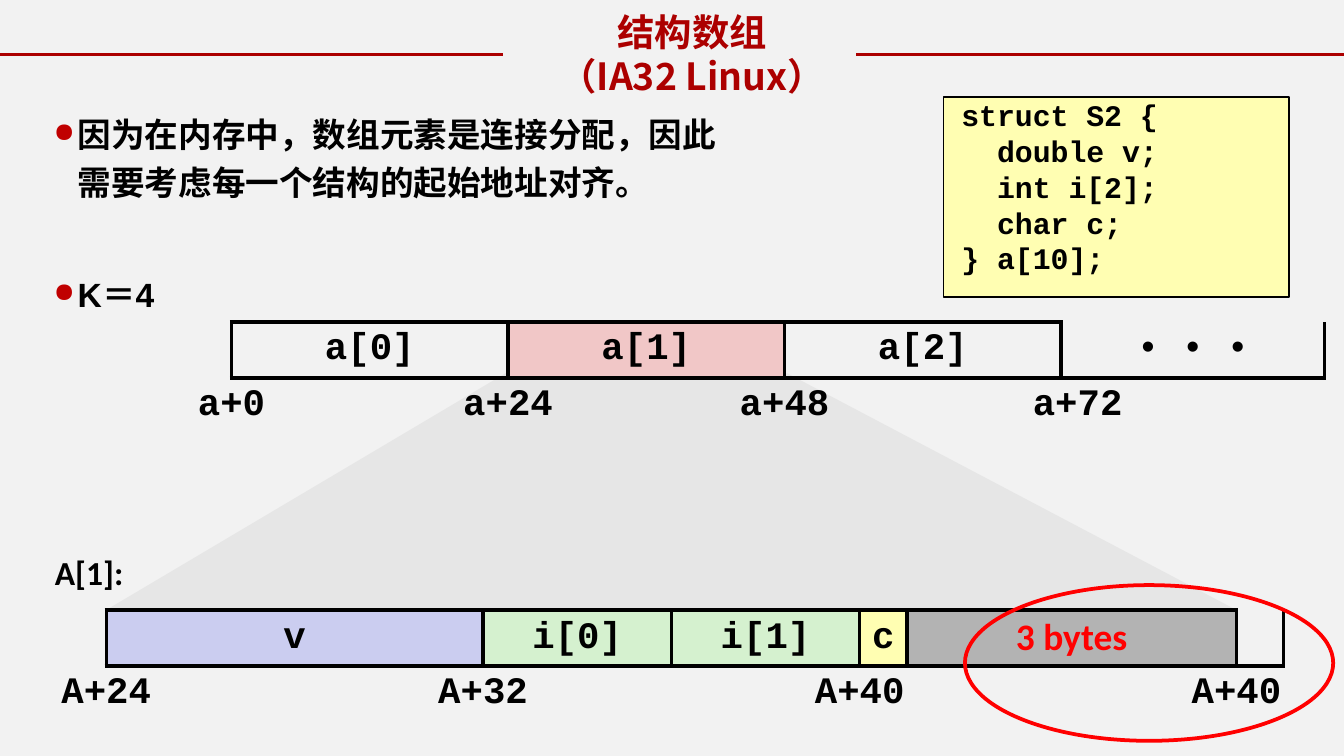
from dataclasses import dataclass
from typing import Optional

from lxml import etree
from pptx import Presentation
from pptx.dml.color import RGBColor
from pptx.enum.shapes import MSO_CONNECTOR, MSO_SHAPE
from pptx.enum.text import MSO_ANCHOR, PP_ALIGN
from pptx.oxml.ns import qn
from pptx.util import Inches, Pt

LINE = MSO_CONNECTOR.STRAIGHT
RECT, OVAL = MSO_SHAPE.RECTANGLE, MSO_SHAPE.OVAL
TOP, MIDDLE = MSO_ANCHOR.TOP, MSO_ANCHOR.MIDDLE
LEFT, CENTER = PP_ALIGN.LEFT, PP_ALIGN.CENTER

BLACK = RGBColor(0x00, 0x00, 0x00)
RED = RGBColor(0xFF, 0x00, 0x00)
CRIMSON = RGBColor(0xAC, 0x00, 0x00)
PAPER = RGBColor(0xF2, 0xF2, 0xF2)
SHADE = RGBColor(0xE6, 0xE6, 0xE6)
YELLOW = RGBColor(0xFF, 0xFE, 0xB2)
PINK = RGBColor(0xF1, 0xC7, 0xC7)
BLUE = RGBColor(0xCB, 0xCD, 0xF0)
GREEN = RGBColor(0xD5, 0xF1, 0xCF)
GRAY = RGBColor(0xB3, 0xB3, 0xB3)

HAN, MONO, SANS, PLAIN = "Noto Sans CJK SC", "Courier New", "Calibri", "Arial"
PLAIN_GRID = "{2D5ABB26-0587-4C30-8999-92F81FD0307C}"
WIDE, HIGH = Inches(10), Inches(5.625)
ROW = 7.4


@dataclass(frozen=True)
class Style:
    font: str
    size: float
    color: RGBColor = BLACK
    bold: bool = True


CODE = Style(MONO, 20)
DOTS = Style(MONO, 20, bold=False)
NOTE = Style(SANS, 20, RED)


@dataclass(frozen=True)
class Field:
    start: int
    count: int
    text: str
    fill: Optional[RGBColor] = None
    style: Style = CODE
    framed: bool = True


@dataclass(frozen=True)
class Label:
    start: int
    text: str


@dataclass(frozen=True)
class Strip:
    """A row of fields over a row of labels; cols are relative widths."""
    left: float
    top: float
    width: float
    cols: list[float]
    fields: list[Field]
    labels: list[Label]
    base: range


def across(share: float) -> int:
    return round(WIDE * share / 100)


def down(share: float) -> int:
    return round(HIGH * share / 100)


def area(x: float, y: float, w: float, h: float) -> tuple[int, int, int, int]:
    return across(x), down(y), across(w), down(h)


def write(par, text: str, style: Style, align=LEFT) -> None:
    par.alignment = align
    run = par.add_run()
    run.text = text
    font = run.font
    font.name, font.size, font.bold = style.font, Pt(style.size), style.bold
    font.color.rgb = style.color
    east = etree.SubElement(run._r.get_or_add_rPr(), qn("a:ea"))
    east.set("typeface", HAN)


def fill_text(frame, lines: list[str], style: Style, align=LEFT, pitch=None) -> None:
    frame.word_wrap = True
    frame.vertical_anchor = TOP
    for n, line in enumerate(lines):
        par = frame.add_paragraph() if n else frame.paragraphs[0]
        if pitch:
            par.line_spacing = Pt(pitch)
        write(par, line, style, align)


def add_bullet(par) -> None:
    props = par._p.get_or_add_pPr()
    props.set("marL", str(Inches(0.18)))
    props.set("indent", str(-Inches(0.18)))
    tint = etree.SubElement(props, qn("a:buClr"))
    etree.SubElement(tint, qn("a:srgbClr")).set("val", "C00000")
    etree.SubElement(props, qn("a:buSzPct")).set("val", "80000")
    etree.SubElement(props, qn("a:buChar")).set("char", "●")


def add_rule(slide, start: float, end: float, y: float) -> None:
    rule = slide.shapes.add_connector(LINE, across(start), down(y), across(end), down(y))
    rule.line.color.rgb = CRIMSON
    rule.line.width = Pt(2)
    etree.SubElement(rule._element.spPr, qn("a:effectLst"))


def add_shape(slide, kind, box, fill, color: RGBColor, width: float):
    shape = slide.shapes.add_shape(kind, *box)
    shape.shadow.inherit = False
    if fill is None:
        shape.fill.background()
    else:
        shape.fill.solid()
        shape.fill.fore_color.rgb = fill
    shape.line.color.rgb = color
    shape.line.width = Pt(width)
    return shape


def add_edge(cell, side: str) -> None:
    """Draw one side (L, R, T or B), keeping the order the schema asks for."""
    props = cell._tc.get_or_add_tcPr()
    name = qn("a:ln" + side)
    if props.find(name) is not None:
        return
    prior = [qn("a:ln" + s) for s in "LRTB"["LRTB".index(side)::-1]]
    spot = sum(child.tag in prior for child in props)
    edge = etree.Element(name, w=str(Pt(2)))
    paint = etree.SubElement(edge, qn("a:solidFill"))
    etree.SubElement(paint, qn("a:srgbClr")).set("val", "000000")
    props.insert(spot, edge)


def set_cell(grid, row: int, start: int, count: int, text: str, style: Style):
    cell = grid.cell(row, start)
    if count > 1:
        cell.merge(grid.cell(row, start + count - 1))
    write(cell.text_frame.paragraphs[0], text, style, CENTER)
    return cell


def add_strip(slide, strip: Strip) -> None:
    cols = strip.cols
    box = area(strip.left, strip.top, strip.width, 2 * ROW)
    grid = slide.shapes.add_table(2, len(cols), *box).table
    grid.first_row = grid.horz_banding = False
    grid._tbl.tblPr.find(qn("a:tableStyleId")).text = PLAIN_GRID
    for col, part in zip(grid.columns, cols):
        col.width = across(strip.width * part / sum(cols))
    for row in grid.rows:
        row.height = down(ROW)
    for cell in grid.iter_cells():
        cell.margin_left = cell.margin_right = cell.margin_top = cell.margin_bottom = 0
        cell.vertical_anchor = MIDDLE
        cell.fill.background()
    for f in strip.fields:
        cell = set_cell(grid, 0, f.start, f.count, f.text, f.style)
        if f.fill is not None:
            cell.fill.solid()
            cell.fill.fore_color.rgb = f.fill
        if f.framed:
            end = f.start + f.count
            for n in range(f.start, end):
                add_edge(grid.cell(0, n), "T")
            for n in (f.start, end):
                add_edge(grid.cell(0, n - 1), "R")
                add_edge(grid.cell(0, n), "L")
    for label in strip.labels:
        set_cell(grid, 1, label.start, 2, label.text, CODE)
    for n in strip.base:
        add_edge(grid.cell(0, n), "B")
        add_edge(grid.cell(1, n), "T")


ARRAY = Strip(
    13.8, 42.6, 88.2,
    [{4: 2, 7: 2, 14: 2, 16: 1.72}.get(n, 1) for n in range(22)],
    [Field(1 + 5 * n, 5, f"a[{n}]", PINK if n == 1 else None) for n in range(3)]
    + [Field(16, 5, "• • •", style=DOTS, framed=False)],
    [Label(5 * n, f"a+{24 * n}") for n in range(4)],
    range(1, 21))
ITEM = Strip(
    4.4, 80.7, 91.2,
    [2 if n == 4 else 1 for n in range(25)],
    [Field(1, 7, "v", BLUE), Field(8, 4, "i[0]", GREEN), Field(12, 4, "i[1]", GREEN),
     Field(16, 1, "c", YELLOW), Field(17, 7, "3 bytes", GRAY, NOTE)],
    [Label(0, "A+24"), Label(7, "A+32"), Label(15, "A+40"), Label(23, "A+40")],
    range(1, 25))


def main() -> None:
    deck = Presentation()
    deck.slide_width, deck.slide_height = WIDE, HIGH
    slide = deck.slides.add_slide(deck.slide_layouts[6])
    slide.background.fill.solid()
    slide.background.fill.fore_color.rgb = PAPER
    shapes = slide.shapes

    pen = shapes.build_freeform(across(37.6), down(49.4))
    pen.add_line_segments([(across(x), down(y)) for x, y in
                           ((8, 80.6), (92, 80.7), (58.6, 49.4))])
    beam = pen.convert_to_shape()
    beam.shadow.inherit = False
    beam.fill.solid()
    beam.fill.fore_color.rgb = SHADE
    beam.line.fill.background()

    add_rule(slide, 0, 37.4, 7.2)
    add_rule(slide, 63.7, 100, 7.2)
    title = shapes.add_textbox(*area(33.8, 0.4, 35.4, 13.7))
    fill_text(title.text_frame, ["结构数组", "（IA32 Linux）"],
              Style(HAN, 20, CRIMSON), CENTER, 23.6)

    body = shapes.add_textbox(*area(3, 13.2, 52.8, 19)).text_frame
    fill_text(body, ["因为在内存中，数组元素是连接分配，因此需要考虑每一个结构的起始地址对齐。", "K＝4"],
              Style(PLAIN, 18), pitch=25.7)
    body.paragraphs[1].space_before = Pt(34)
    for par in body.paragraphs:
        add_bullet(par)

    code = add_shape(slide, RECT, area(70.2, 12.8, 25.7, 26.5), YELLOW, BLACK, 1).text_frame
    code.margin_left = code.margin_right = code.margin_top = code.margin_bottom = 0
    fill_text(code, [" struct S2 {", "   double v;", "   int i[2];", "   char c;", " } a[10];"],
              Style(MONO, 16))

    add_strip(slide, ARRAY)
    add_strip(slide, ITEM)
    name = shapes.add_textbox(*area(3.1, 72.2, 17.2, 9.1))
    fill_text(name.text_frame, ["A[1]:"], Style(SANS, 18))
    add_shape(slide, OVAL, area(71.8, 77.4, 27.4, 20.6), None, RED, 2)
    deck.save("out.pptx")


if __name__ == "__main__":
    main()
